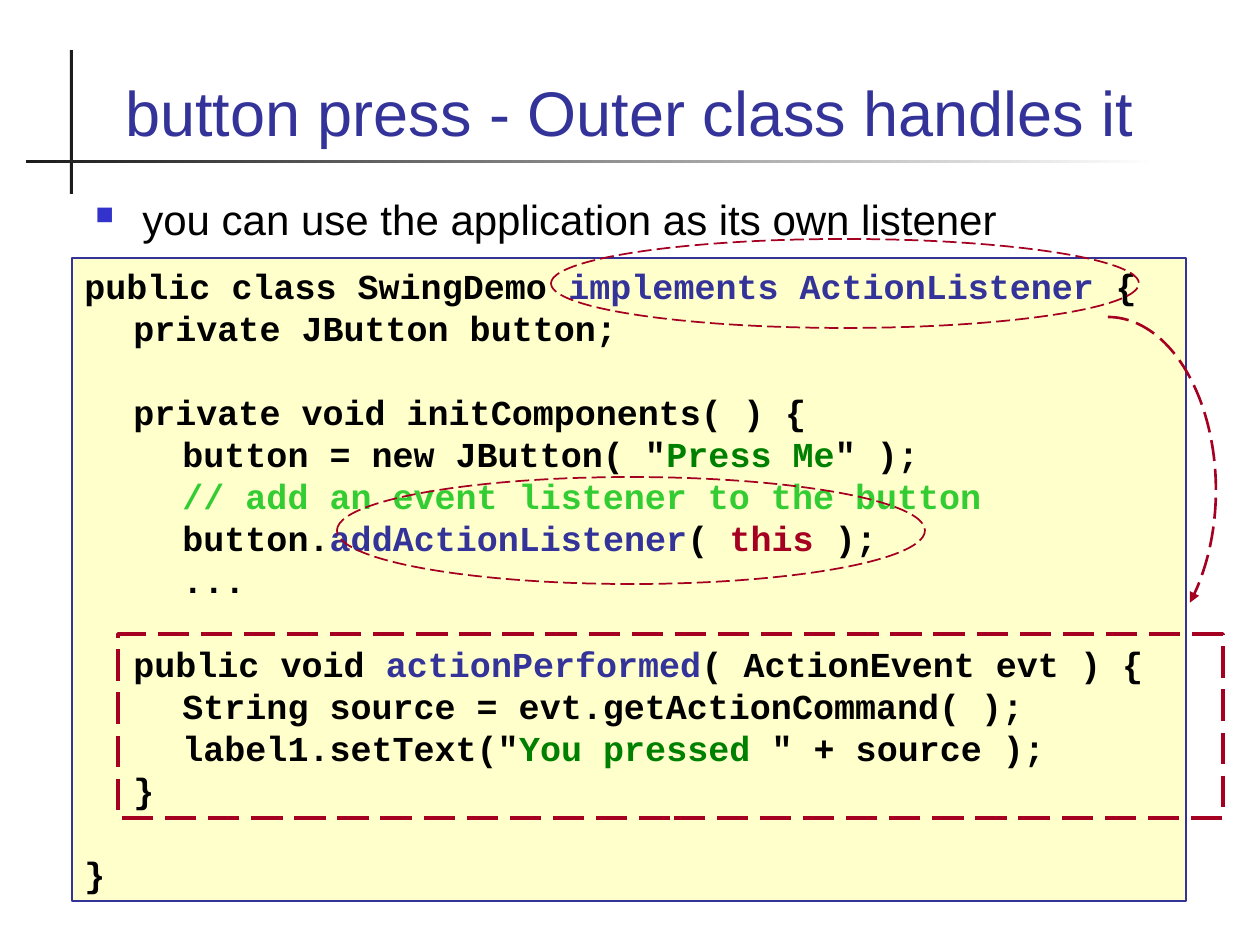
import pptx
import pptx.util
import pptx.dml.color
import pptx.enum.dml
import pptx.enum.shapes
import pptx.enum.text
from lxml import etree

SHAPE = pptx.enum.shapes.MSO_SHAPE
NS = "http://schemas.openxmlformats.org/drawingml/2006/main"
PX = 914400 / 126
INK, BLUE, RED, GREEN, LIME = "000000", "333399", "A50021", "008000", "33CC33"


def px(n):
    return pptx.util.Emu(round(n * PX))


def rgb(h):
    return pptx.dml.color.RGBColor.from_string(h)


prs = pptx.Presentation()
prs.slide_width, prs.slide_height = px(1260), px(945)
s = prs.slides.add_slide(prs.slide_layouts[6])

# Crossed rules behind the title
for box, fade in [((70, 50, 3, 144), False), ((26, 160, 1133, 3), True)]:
    sp = s.shapes.add_shape(SHAPE.RECTANGLE, *map(px, box))
    sp.shadow.inherit = False
    sp.line.fill.background()
    if fade:
        sp.fill.gradient()
        sp.fill.gradient_angle = 0
        for stop, color in zip(sp.fill.gradient_stops, ("1C1C1C", "FFFFFF")):
            stop.color.rgb = rgb(color)
    else:
        sp.fill.solid()
        sp.fill.fore_color.rgb = rgb("1C1C1C")

# Title and bullet
ALIGN, ANCHOR = pptx.enum.text.PP_ALIGN, pptx.enum.text.MSO_ANCHOR
texts = [
    ("button press - Outer class handles it", (84, 35, 1091, 120),
     36, BLUE, ALIGN.CENTER, ANCHOR.BOTTOM, False),
    ("you can use the application as its own listener", (83, 187, 1091, 60),
     24, INK, ALIGN.LEFT, ANCHOR.TOP, True),
]
for text, box, size, color, align, anchor, bullet in texts:
    tf = s.shapes.add_textbox(*map(px, box)).text_frame
    tf.word_wrap = True
    tf.vertical_anchor = anchor
    p = tf.paragraphs[0]
    p.alignment = align
    if bullet:
        pPr = p._p.get_or_add_pPr()
        pPr.set("marL", str(px(47)))
        pPr.set("indent", str(-px(47)))
        clr = etree.SubElement(pPr, f"{{{NS}}}buClr")
        etree.SubElement(clr, f"{{{NS}}}srgbClr", val="3333CC")
        etree.SubElement(pPr, f"{{{NS}}}buSzPct", val="60000")
        etree.SubElement(pPr, f"{{{NS}}}buChar", char="■")
    r = p.add_run()
    r.text = text
    fmt = {"name": "Arial", "size": pptx.util.Pt(size)}
    for k, v in fmt.items():
        setattr(r.font, k, v)
    r.font.color.rgb = rgb(color)

# Code panel: (indent level, blank line above, runs)
code = [
    (0, 0, [("public class SwingDemo ", INK),
            ("implements ActionListener", BLUE), (" {", INK)]),
    (1, 0, [("private JButton button;", INK)]),
    (1, 1, [("private void initComponents( ) {", INK)]),
    (2, 0, [('button = new JButton( "', INK), ("Press Me", GREEN), ('" );', INK)]),
    (2, 0, [("// add an event listener to the button", LIME)]),
    (2, 0, [("button.", INK), ("addActionListener", BLUE), ("( ", INK),
            ("this", RED), (" );", INK)]),
    (2, 0, [("...", INK)]),
    (1, 1, [("public void ", INK), ("actionPerformed", BLUE),
            ("( ActionEvent evt ) {", INK)]),
    (2, 0, [("String source = evt.getActionCommand( );", INK)]),
    (2, 0, [('label1.setText("', INK), ("You pressed", GREEN),
            (' " + source );', INK)]),
    (1, 0, [("}", INK)]),
    (0, 1, [("}", INK)]),
]
sp = s.shapes.add_shape(SHAPE.RECTANGLE, *map(px, (72, 258, 1114, 643)))
sp.shadow.inherit = False
sp.fill.solid()
sp.fill.fore_color.rgb = rgb("FFFFCC")
sp.line.color.rgb = rgb(BLUE)
sp.line.width = pptx.util.Pt(1.5)
tf = sp.text_frame
tf.word_wrap = True
tf.vertical_anchor = ANCHOR.TOP
pitch = pptx.util.Pt(24)
fmt = {"name": "Courier New", "size": pptx.util.Pt(20), "bold": True}
for i, (level, gap, runs) in enumerate(code):
    p = tf.add_paragraph() if i else tf.paragraphs[0]
    p.alignment = ALIGN.LEFT
    p.line_spacing = pitch
    if gap:
        p.space_before = pitch
    p._p.get_or_add_pPr().set("marL", str(px(49 * level)))
    for text, color in runs:
        r = p.add_run()
        r.text = text
        for k, v in fmt.items():
            setattr(r.font, k, v)
        r.font.color.rgb = rgb(color)

# Dashed highlights, and the arc from the interface to its method
marks = [
    (SHAPE.RECTANGLE, (118, 634, 1105, 184), 2.25),
    (SHAPE.OVAL, (551, 239, 588, 89), 1),
    (SHAPE.ARC, (1000, 317, 216, 346), 1.5),
    (SHAPE.OVAL, (337, 477, 588, 107), 1),
]
for kind, box, width in marks:
    sp = s.shapes.add_shape(kind, *map(px, box))
    sp.shadow.inherit = False
    sp.fill.background()
    sp.line.color.rgb = rgb(RED)
    sp.line.width = pptx.util.Pt(width)
    sp.line.dash_style = pptx.enum.dml.MSO_LINE.LONG_DASH
    if kind == SHAPE.ARC:
        # Angles in degrees, clockwise from three o'clock
        for i, angle in enumerate((270, 54)):
            sp.adjustments[i] = angle * 0.6
        etree.SubElement(sp.line._get_or_add_ln(), f"{{{NS}}}tailEnd", type="triangle")

prs.save("out.pptx")
